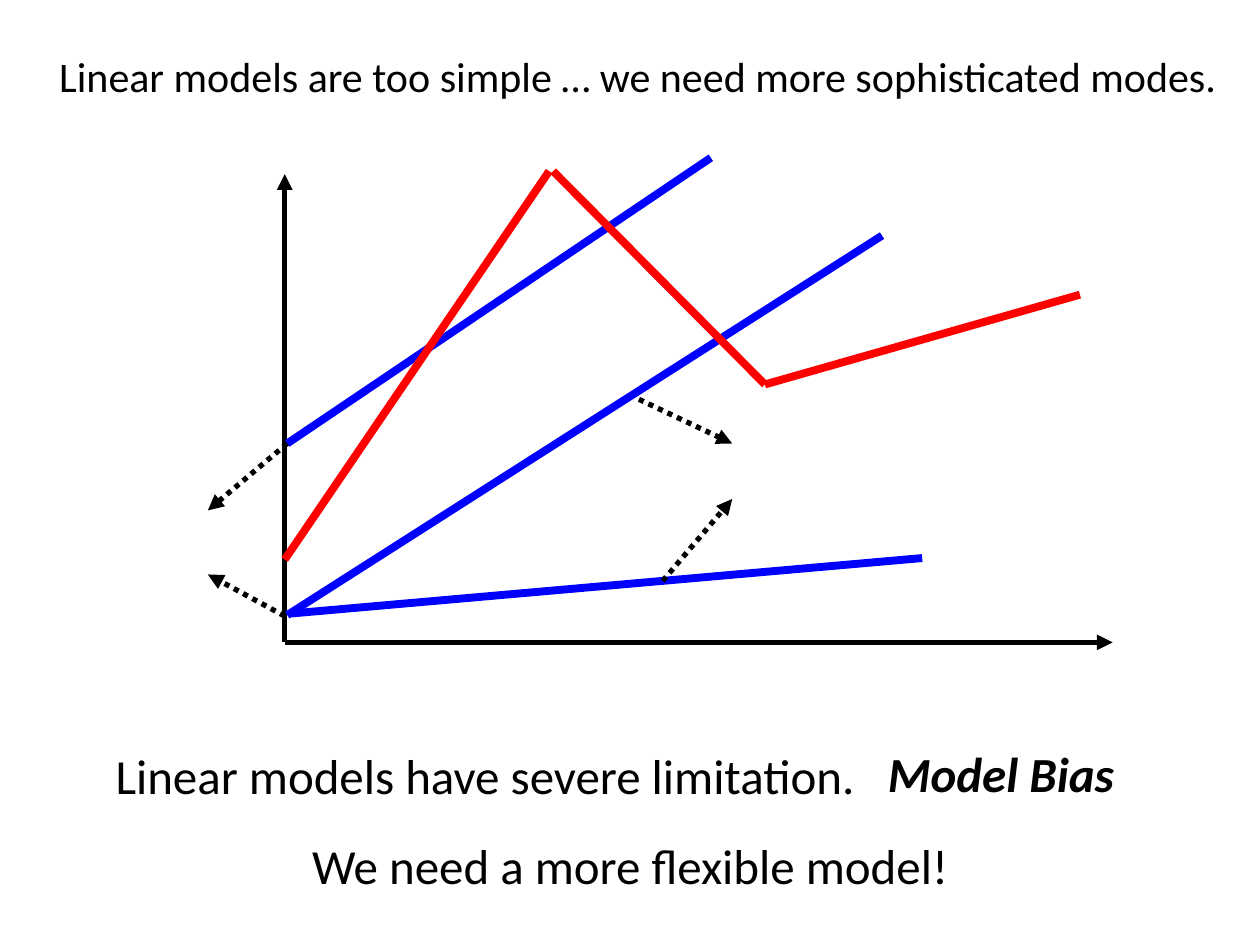
from typing import NamedTuple

from lxml import etree
from pptx import Presentation
from pptx.dml.color import RGBColor
from pptx.enum.dml import MSO_LINE
from pptx.enum.shapes import MSO_CONNECTOR
from pptx.enum.text import MSO_ANCHOR, MSO_AUTO_SIZE, PP_ALIGN
from pptx.oxml.ns import qn
from pptx.util import Cm, Pt

STRAIGHT = MSO_CONNECTOR.STRAIGHT
DOTTED = MSO_LINE.ROUND_DOT
LEFT, CENTER = PP_ALIGN.LEFT, PP_ALIGN.CENTER
TOP = MSO_ANCHOR.TOP
GROW = MSO_AUTO_SIZE.SHAPE_TO_FIT_TEXT

FONT = "Calibri"
BLACK, BLUE, RED = "000000", "0000FF", "FF0000"


class Segment(NamedTuple):
    """End points in centimetres."""
    x1: float
    y1: float
    x2: float
    y2: float


class Box(NamedTuple):
    """Position and size in centimetres."""
    left: float
    top: float
    width: float
    height: float


AXES = [
    Segment(5.74, 12.95, 22.43, 12.95),
    Segment(5.74, 12.95, 5.74, 3.51),
]
LINEAR_MODELS = [
    Segment(5.79, 12.4, 17.78, 4.75),
    Segment(5.84, 12.37, 18.59, 11.25),
    Segment(5.79, 8.94, 14.33, 3.18),
]
TARGET_CURVE = [
    Segment(5.74, 11.28, 11.07, 3.45),
    Segment(11.15, 3.45, 15.42, 7.75),
    Segment(21.77, 5.94, 15.42, 7.75),
]
POINTERS = [
    Segment(5.79, 8.94, 4.19, 10.29),
    Segment(5.74, 12.42, 4.19, 11.58),
    Segment(12.88, 8.05, 14.76, 8.94),
    Segment(13.36, 11.71, 14.76, 10.06),
]


def rgb(color: str) -> RGBColor:
    return RGBColor.from_string(color)


def add_line(s, seg: Segment, color: str = BLACK, width: float = 3,
             dash=None, arrow: bool = False) -> None:
    line = s.shapes.add_connector(STRAIGHT, *(Cm(v) for v in seg))
    line.line.color.rgb = rgb(color)
    line.line.width = Pt(width)
    if dash is not None:
        line.line.dash_style = dash
    if arrow:
        ln = line.line._get_or_add_ln()
        etree.SubElement(ln, qn("a:tailEnd"), type="triangle")
    etree.SubElement(line._element.spPr, qn("a:effectLst"))


def set_text(sp, text: str, size: float = 28, align=LEFT,
             bold: bool = False, italic: bool = False) -> None:
    tf = sp.text_frame
    tf.word_wrap = True
    tf.auto_size = GROW
    tf.vertical_anchor = TOP
    p = tf.paragraphs[0]
    p.alignment = align
    r = p.add_run()
    r.text = text
    r.font.name = FONT
    r.font.size = Pt(size)
    r.font.bold = bold
    r.font.italic = italic
    r.font.color.rgb = rgb(BLACK)


def add_text(s, box: Box, text: str, **fmt) -> None:
    set_text(s.shapes.add_textbox(*(Cm(v) for v in box)), text, **fmt)


def main() -> None:
    prs = Presentation()
    prs.slide_width, prs.slide_height = Cm(25.4), Cm(19.05)
    s = prs.slides.add_slide(prs.slide_layouts[5])

    title = s.shapes.title
    title.left, title.top = Cm(0.94), Cm(0.89)
    title.width, title.height = Cm(23.9), Cm(1.27)
    set_text(title, "Linear models are too simple … we need more "
                    "sophisticated modes.", size=24)

    for seg in AXES:
        add_line(s, seg, arrow=True)
    for seg in LINEAR_MODELS:
        add_line(s, seg, BLUE, 4.5)
    for seg in TARGET_CURVE:
        add_line(s, seg, RED, 4.5)
    for seg in POINTERS:
        add_line(s, seg, dash=DOTTED, arrow=True)

    add_text(s, Box(2.08, 14.91, 19.38, 1.45),
             "Linear models have severe limitation.")
    add_text(s, Box(17.65, 14.86, 5.36, 1.45), "Model Bias",
             bold=True, italic=True)
    add_text(s, Box(4.75, 16.71, 15.9, 1.45),
             "We need a more flexible model!", align=CENTER)

    prs.save("out.pptx")


if __name__ == "__main__":
    main()
